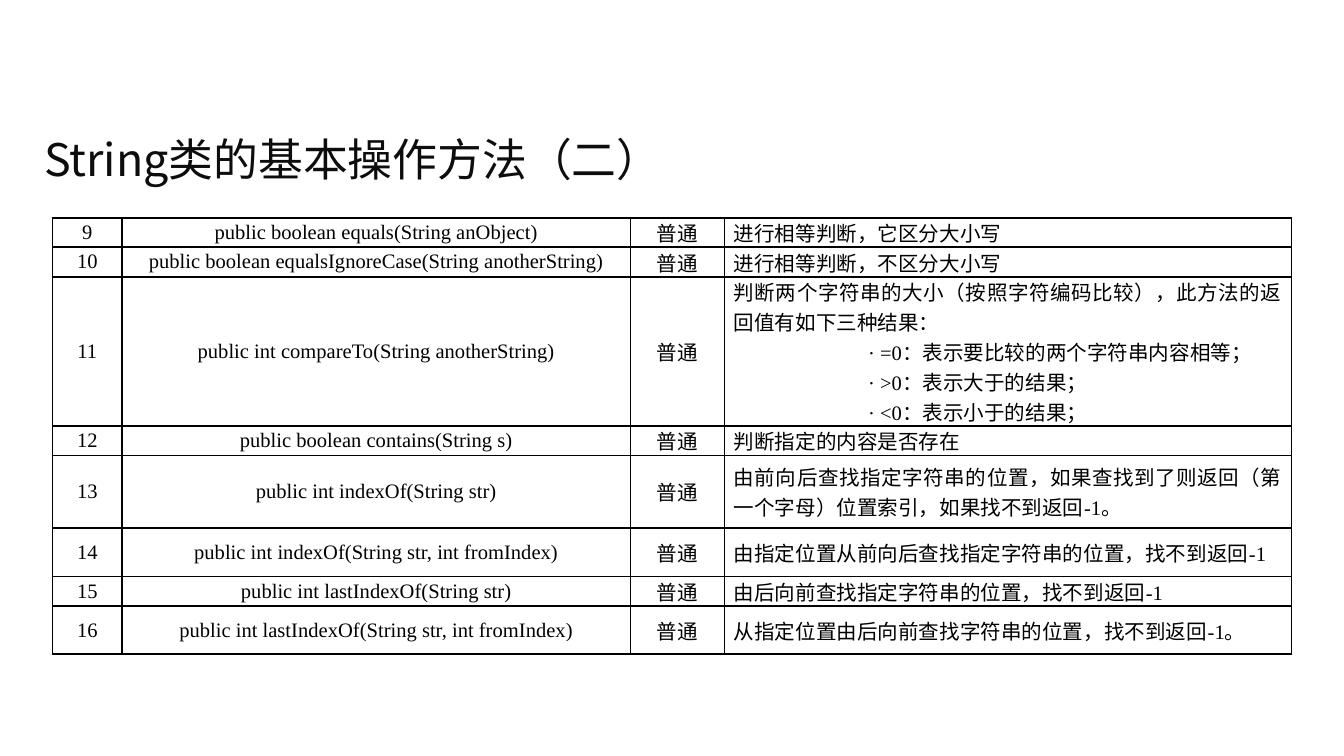
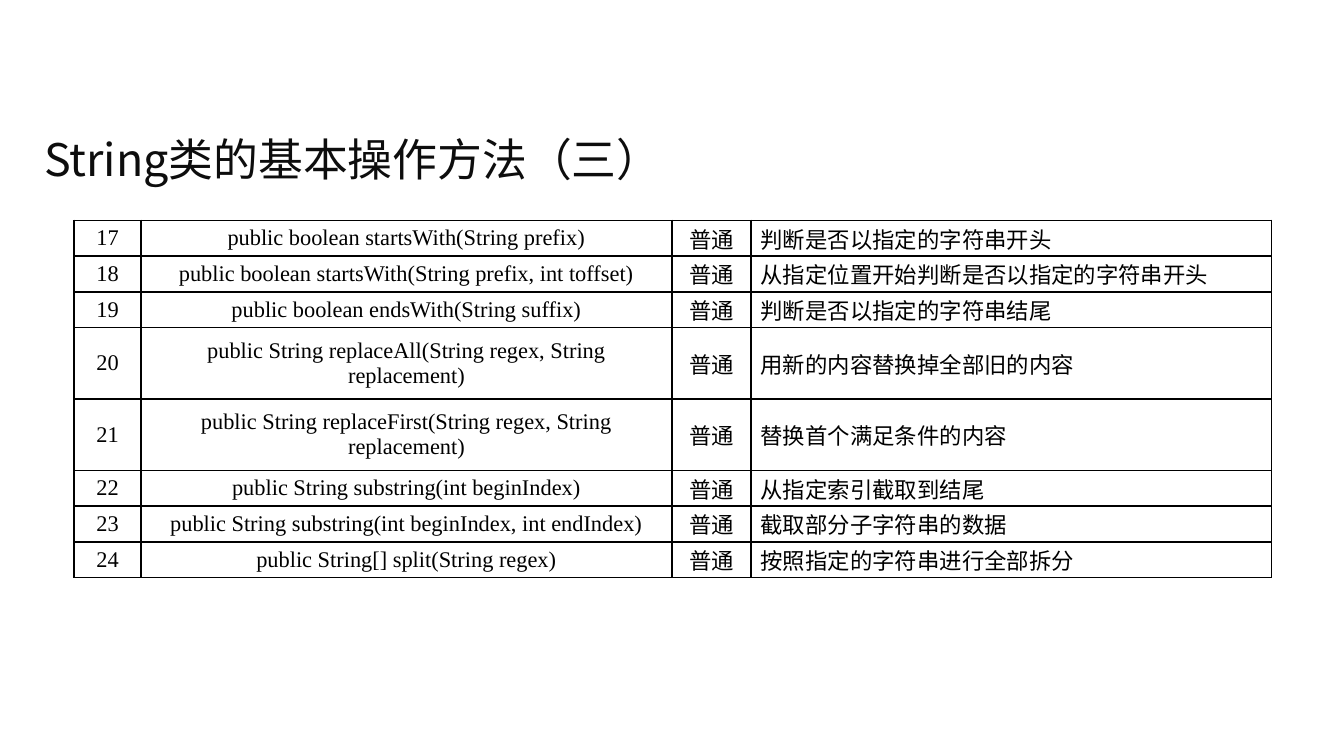
from lxml import etree
from pptx import Presentation
from pptx import util as u
from pptx.dml.color import RGBColor
from pptx.enum import text
from pptx.oxml import ns

HAN = "Noto Sans CJK SC"
ROMAN = "Times New Roman"
INK = "0D0D0D"
BLACK = "000000"
KIND = "普通"
LEFT, MID, JUST = text.PP_ALIGN.LEFT, text.PP_ALIGN.CENTER, text.PP_ALIGN.JUSTIFY


def style(para, size, face, color, align):
    para.alignment = align
    font = para.font
    font.size = u.Pt(size)
    font.name = face
    font.color.rgb = RGBColor.from_string(color)
    # Chinese glyphs share one face
    props = para._p.pPr.find(ns.qn("a:defRPr"))
    etree.SubElement(props, ns.qn("a:ea"), typeface=HAN)


def border(cell):
    props = cell._tc.get_or_add_tcPr()
    for side in ("lnL", "lnR", "lnT", "lnB"):
        line = etree.SubElement(props, ns.qn("a:" + side), w=str(u.Pt(1)))
        fill = etree.SubElement(line, ns.qn("a:solidFill"))
        etree.SubElement(fill, ns.qn("a:srgbClr"), val=BLACK)


# Each row: height, method, lines of its description
LOW, TALL = 2.66 / 10, 2.66 / 5
pages = [
    dict(title="String类的基本操作方法（二）", first=9, size=11,
         left=0.39, top=1.62, cols=[0.52, 3.78, 0.7, 4.22], rows=[
        (0.22, "public boolean equals(String anObject)", ["进行相等判断，它区分大小写"]),
        (0.22, "public boolean equalsIgnoreCase(String anotherString)",
         ["进行相等判断，不区分大小写"]),
        (1.11, "public int compareTo(String anotherString)",
         ["判断两个字符串的大小（按照字符编码比较），此方法的返回值有如下三种结果：",
          "· =0：表示要比较的两个字符串内容相等；",
          "· >0：表示大于的结果；",
          "· <0：表示小于的结果；"]),
        (0.22, "public boolean contains(String s)", ["判断指定的内容是否存在"]),
        (0.54, "public int indexOf(String str)",
         ["由前向后查找指定字符串的位置，如果查找到了则返回（第一个字母）位置索引，如果找不到返回-1。"]),
        (0.36, "public int indexOf(String str, int fromIndex)",
         ["由指定位置从前向后查找指定字符串的位置，找不到返回-1"]),
        (0.22, "public int lastIndexOf(String str)",
         ["由后向前查找指定字符串的位置，找不到返回-1"]),
        (0.36, "public int lastIndexOf(String str, int fromIndex)",
         ["从指定位置由后向前查找字符串的位置，找不到返回-1。"]),
    ]),
    dict(title="String类的基本操作方法（三）", first=17, size=12,
         left=0.55, top=1.64, cols=[0.5, 3.95, 0.59, 3.87], rows=[
        (LOW, "public boolean startsWith(String prefix)", ["判断是否以指定的字符串开头"]),
        (LOW, "public boolean startsWith(String prefix, int toffset)",
         ["从指定位置开始判断是否以指定的字符串开头"]),
        (LOW, "public boolean endsWith(String suffix)", ["判断是否以指定的字符串结尾"]),
        (TALL, "public String replaceAll(String regex, String replacement)",
         ["用新的内容替换掉全部旧的内容"]),
        (TALL, "public String replaceFirst(String regex, String replacement)",
         ["替换首个满足条件的内容"]),
        (LOW, "public String substring(int beginIndex)", ["从指定索引截取到结尾"]),
        (LOW, "public String substring(int beginIndex, int endIndex)",
         ["截取部分子字符串的数据"]),
        (LOW, "public String[] split(String regex)", ["按照指定的字符串进行全部拆分"]),
    ]),
]

# Wide 16:9 page
deck = Presentation()
deck.slide_width = u.Inches(10)
deck.slide_height = u.Inches(10 * 9 / 16)

for page in pages:
    slide = deck.slides.add_slide(deck.slide_layouts[6])

    # Title
    box = slide.shapes.add_textbox(u.Inches(0.23), u.Inches(0.86),
                                   u.Inches(9.53), u.Inches(0.64))
    frame = box.text_frame
    frame.word_wrap = True
    frame.vertical_anchor = text.MSO_ANCHOR.MIDDLE
    frame.text = page["title"]
    style(frame.paragraphs[0], 24, HAN, INK, LEFT)

    # Method table
    rows, cols = page["rows"], page["cols"]
    high = sum(row[0] for row in rows)
    table = slide.shapes.add_table(
        len(rows), len(cols), u.Inches(page["left"]), u.Inches(page["top"]),
        u.Inches(sum(cols)), u.Inches(high)).table
    table.first_row = table.horz_banding = False
    for col, width in zip(table.columns, cols):
        col.width = u.Inches(width)

    for r, (height, method, notes) in enumerate(rows):
        table.rows[r].height = u.Inches(height)
        number = str(page["first"] + r)
        for c, lines in enumerate([[number], [method], [KIND], notes]):
            cell = table.cell(r, c)
            border(cell)
            cell.fill.background()
            cell.vertical_anchor = text.MSO_ANCHOR.MIDDLE
            cell.margin_left = cell.margin_right = u.Inches(0.07)
            cell.margin_top = cell.margin_bottom = 0
            cell.text_frame.text = "\n".join(lines)
            for n, para in enumerate(cell.text_frame.paragraphs):
                style(para, page["size"], ROMAN, BLACK, JUST if c == 3 else MID)
                if n:  # list lines are set in by one inch
                    para._p.pPr.set("marL", str(u.Inches(1)))

deck.save("out.pptx")
